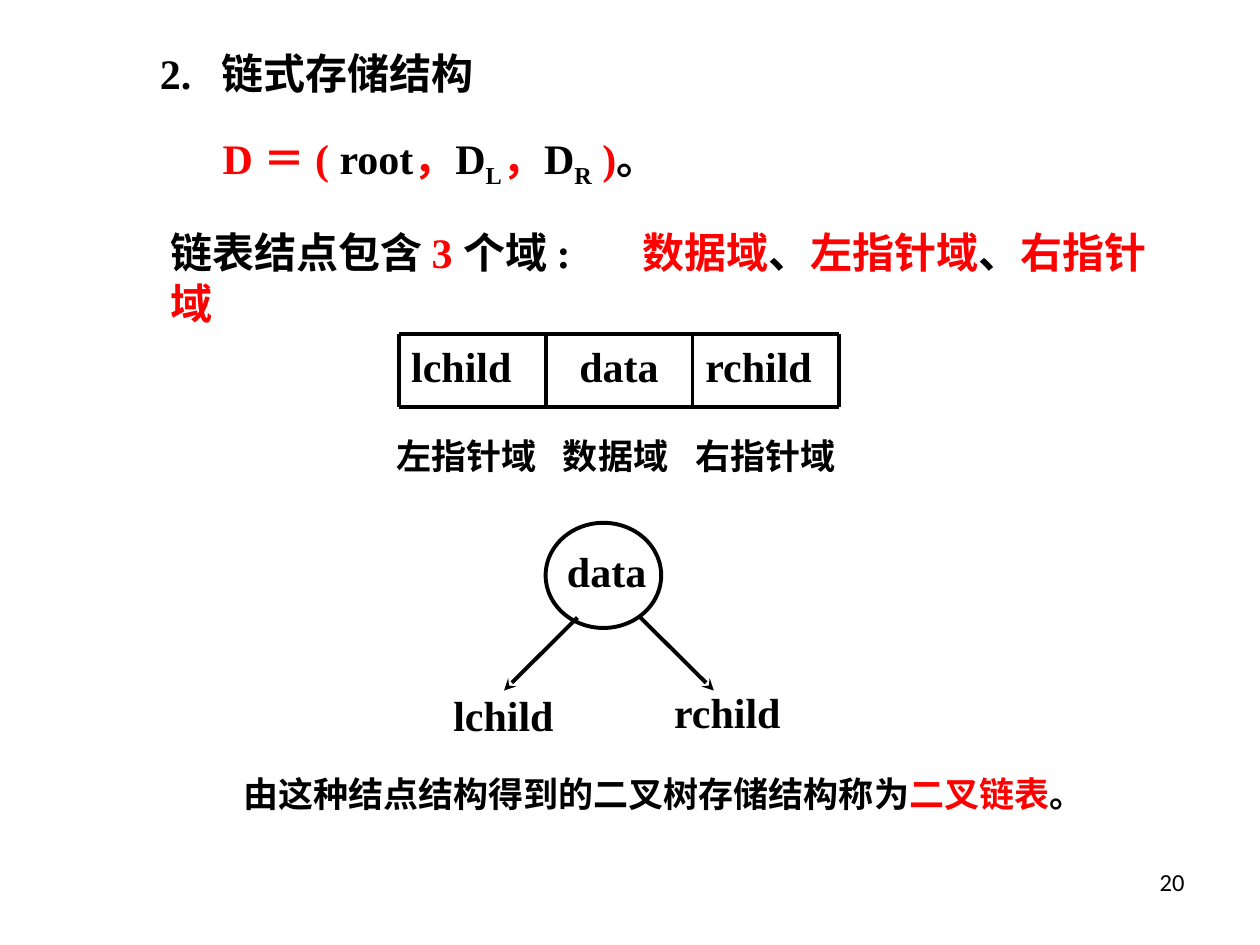
from dataclasses import dataclass

import pptx
import pptx.dml.color
import pptx.enum.dml
import pptx.enum.shapes
import pptx.enum.text
import pptx.oxml
import pptx.oxml.ns
import pptx.util
from pptx.util import Cm


@dataclass(frozen=True)
class Theme:
    black: pptx.dml.color.RGBColor = pptx.dml.color.RGBColor(0, 0, 0)
    red: pptx.dml.color.RGBColor = pptx.dml.color.RGBColor(255, 0, 0)
    font: str = "Times New Roman"
    number_font: str = "Calibri"
    large: int = 24
    medium: int = 20
    number: int = 14
    line: float = 2.25


THEME = Theme()


@dataclass(frozen=True)
class Piece:
    text: str
    red: bool = False
    subscript: bool = False


@dataclass(frozen=True)
class TextItem:
    """Text with its frame in centimetres and an optional tab stop."""
    pieces: tuple[Piece, ...]
    left: float
    top: float
    width: float
    height: float = 1.27
    size: int = THEME.large
    tab: float | None = None


HEADING = TextItem((Piece("2.\t链式存储结构"),), 2.97, 0.84, 12.5, tab=1.25)
STATEMENTS = (
    TextItem(
        (Piece("D ＝ ( ", red=True), Piece("root"), Piece("，", red=True),
         Piece("D"), Piece("L", subscript=True), Piece("，", red=True),
         Piece("D"), Piece("R", subscript=True), Piece(" )", red=True), Piece("。")),
        4.24, 2.54, 15.04, 1.42),
    TextItem(
        (Piece("链表结点包含 "), Piece("3 ", red=True), Piece("个域 :\t"),
         Piece("数据域", red=True), Piece("、"), Piece("左指针域", red=True),
         Piece("、"), Piece("右指针域", red=True)),
        3.18, 4.45, 20.96, 2.29, tab=9.53),
    TextItem(
        (Piece("由这种结点结构得到的二叉树存储结构称为"),
         Piece("二叉链表", red=True), Piece("。")),
        4.65, 15.44, 20.11, 1.12, THEME.medium),
)

# Record of three fields
RECORD_LEFT, RECORD_TOP = 8.04, 6.73
FIELD_WIDTH, RECORD_HEIGHT, FIELD_COUNT = 2.96, 1.48, 3
CAPTION_TOP, CAPTION_HEIGHT = 8.64, 1.12
FIELDS = (("lchild", 8.04), ("data", 11.43), ("rchild", 13.97))
CAPTIONS = (("左指针域", 7.75, 4.45), ("数据域", 11.1, 3.61), ("右指针域", 13.77, 5.08))

# Tree node with two pointers
NODE = (11, 10.54, 2.33, 2.12)
NODE_LABELS = (
    TextItem((Piece("data"),), 11.18, 10.87, 2.54),
    TextItem((Piece("lchild"),), 8.89, 13.77, 3.6),
    TextItem((Piece("rchild"),), 13.34, 13.72, 3.39),
)
POINTER_TOP, POINTER_BOTTOM = 12.45, 13.92
POINTERS = ((11.64, 10.16), (12.91, 14.39))


def fill_text(shape, item: TextItem) -> None:
    shape.left, shape.top = Cm(item.left), Cm(item.top)
    shape.width, shape.height = Cm(item.width), Cm(item.height)
    frame = shape.text_frame
    frame.word_wrap = True
    frame.auto_size = pptx.enum.text.MSO_AUTO_SIZE.NONE
    frame.vertical_anchor = pptx.enum.text.MSO_ANCHOR.TOP
    para = frame.paragraphs[0]
    para.alignment = pptx.enum.text.PP_ALIGN.LEFT
    if item.tab is not None:
        properties = para._p.get_or_add_pPr()
        tabs = pptx.oxml.parse_xml(
            f'<a:tabLst {pptx.oxml.ns.nsdecls("a")}>'
            f'<a:tab pos="{Cm(item.tab)}" algn="l"/></a:tabLst>')
        properties.append(tabs)
    for piece in item.pieces:
        span = para.add_run()
        span.text = piece.text
        span.font.name = THEME.font
        span.font.size = pptx.util.Pt(item.size)
        span.font.bold = True
        span.font.color.rgb = THEME.red if piece.red else THEME.black
        if piece.subscript:
            span.font._element.set("baseline", "-25000")


def add_text(shapes, item: TextItem):
    box = shapes.add_textbox(0, 0, Cm(item.width), Cm(item.height))
    fill_text(box, item)
    return box


def add_line(shapes, start: tuple[float, float], end: tuple[float, float],
             arrow: bool = False) -> None:
    line = shapes.add_connector(
        pptx.enum.shapes.MSO_CONNECTOR.STRAIGHT, *map(Cm, start + end))
    line.line.color.rgb = THEME.black
    line.line.width = pptx.util.Pt(THEME.line)
    namespace = pptx.oxml.ns.nsdecls("a")
    if arrow:
        line.line._get_or_add_ln().append(
            pptx.oxml.parse_xml(f'<a:tailEnd {namespace} type="stealth"/>'))
    line._element.spPr.append(pptx.oxml.parse_xml(f"<a:effectLst {namespace}/>"))


def add_record(page) -> None:
    shapes = page.shapes.add_group_shape().shapes
    for text, left, width in CAPTIONS:
        add_text(shapes, TextItem((Piece(text),), left, CAPTION_TOP, width,
                                  CAPTION_HEIGHT, THEME.medium))
    right = RECORD_LEFT + FIELD_COUNT * FIELD_WIDTH
    bottom = RECORD_TOP + RECORD_HEIGHT
    for y in (RECORD_TOP, bottom):
        add_line(shapes, (RECORD_LEFT, y), (right, y))
    for column in range(FIELD_COUNT + 1):
        x = RECORD_LEFT + column * FIELD_WIDTH
        add_line(shapes, (x, RECORD_TOP), (x, bottom))
    for text, left in FIELDS:
        add_text(shapes, TextItem((Piece(text),), left, RECORD_TOP, 3.81))


def add_tree_node(page) -> None:
    shapes = page.shapes.add_group_shape().shapes
    circle = shapes.add_shape(pptx.enum.shapes.MSO_SHAPE.OVAL, *map(Cm, NODE))
    circle.shadow.inherit = False
    circle.fill.background()
    circle.line.color.rgb = THEME.black
    circle.line.width = pptx.util.Pt(THEME.line)
    for label in NODE_LABELS:
        add_text(shapes, label)
    for start, end in POINTERS:
        add_line(shapes, (start, POINTER_TOP), (end, POINTER_BOTTOM), arrow=True)


def add_page_number(page) -> None:
    box = add_text(page.shapes, TextItem((Piece("20"),), 18.21, 17.35, 5.92, 1.32,
                                         THEME.number))
    para = box.text_frame.paragraphs[0]
    para.alignment = pptx.enum.text.PP_ALIGN.RIGHT
    para.runs[0].font.name = THEME.number_font
    para.runs[0].font.bold = False


def main() -> None:
    deck = pptx.Presentation()
    deck.slide_width, deck.slide_height = Cm(25.4), Cm(19.05)
    page = deck.slides.add_slide(deck.slide_layouts.get_by_name("Title Only"))
    fill_text(page.shapes.title, HEADING)
    for statement in STATEMENTS:
        add_text(page.shapes, statement)
    add_record(page)
    add_tree_node(page)
    add_page_number(page)
    deck.save("out.pptx")


if __name__ == "__main__":
    main()
